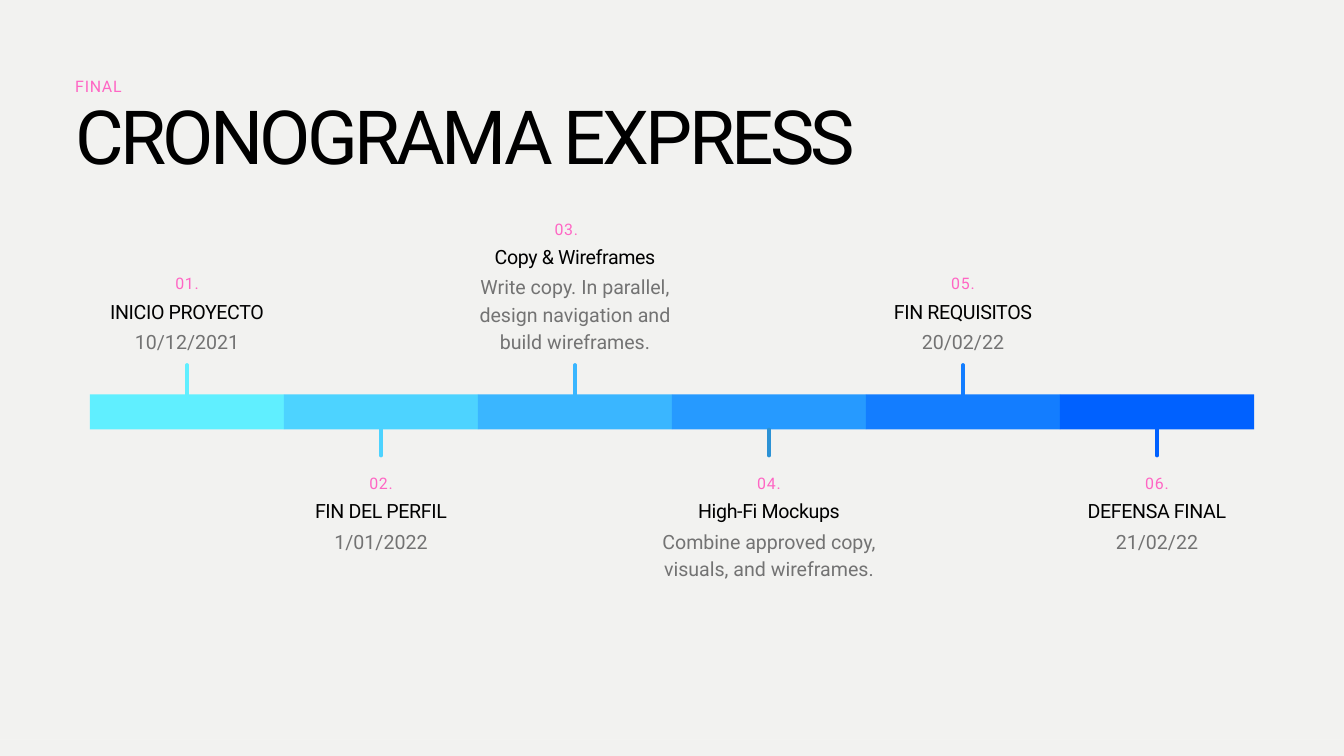
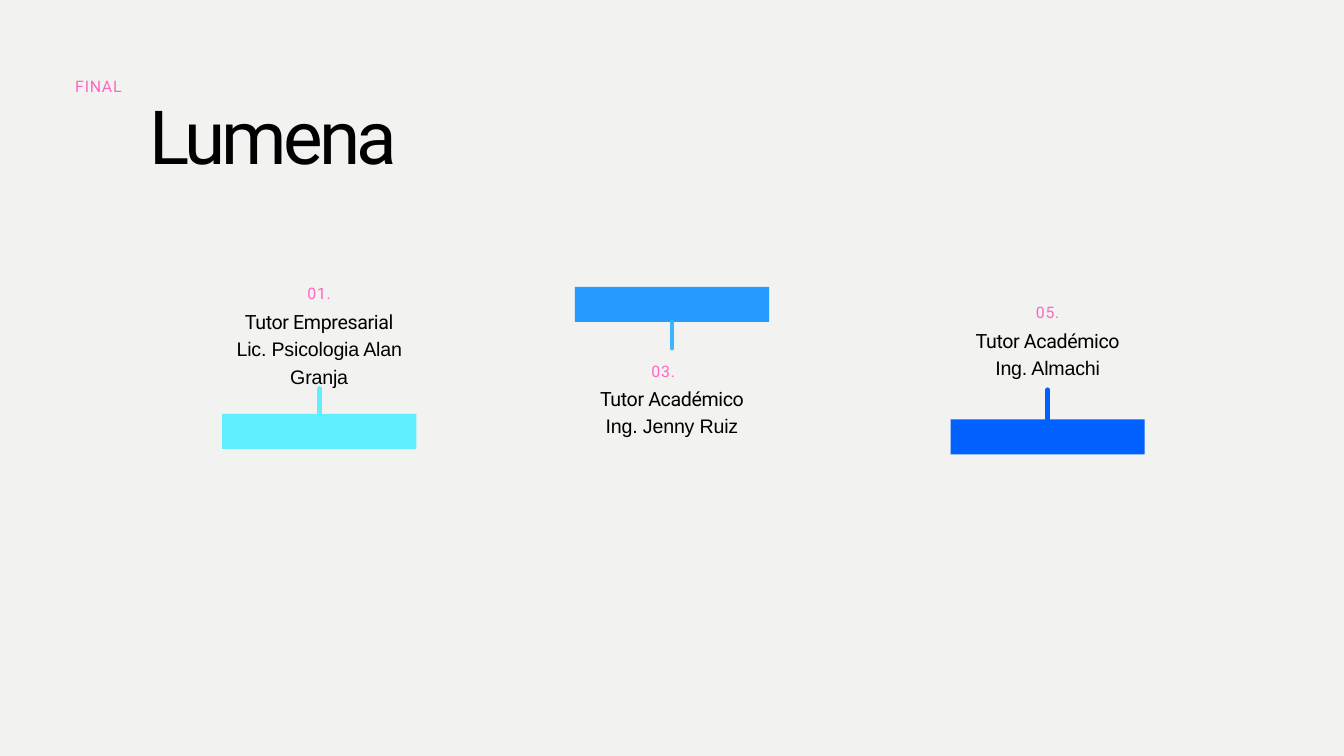
from dataclasses import dataclass

from lxml import etree
from pptx import Presentation
from pptx.dml.color import RGBColor
from pptx.enum.shapes import MSO_CONNECTOR, MSO_SHAPE
from pptx.enum.text import MSO_AUTO_SIZE, PP_ALIGN
from pptx.oxml.ns import qn
from pptx.shapes.autoshape import Shape
from pptx.slide import Slide
from pptx.util import Inches, Pt

RECTANGLE = MSO_SHAPE.RECTANGLE
STRAIGHT = MSO_CONNECTOR.STRAIGHT
FIT_SHAPE = MSO_AUTO_SIZE.SHAPE_TO_FIT_TEXT
LEFT, CENTER, JUSTIFY = PP_ALIGN.LEFT, PP_ALIGN.CENTER, PP_ALIGN.JUSTIFY
TOP_SITE, BOTTOM_SITE = 0, 2


@dataclass(frozen=True)
class TextStyle:
    size: float
    leading: float
    color: str
    spacing: float = 0
    font: str = "Roboto"
    align: PP_ALIGN = CENTER


@dataclass(frozen=True)
class Theme:
    paper: str = "F2F2F0"
    frame: str = "FDFDFD"
    blues: tuple[str, ...] = ("60EFFF", "4DD3FF", "3AB6FF", "269AFF", "137DFF", "0061FF")
    steel: str = "2C92D5"
    title: TextStyle = TextStyle(80, 88, "000000", -4, align=LEFT)
    kicker: TextStyle = TextStyle(17, 23.8, "FF66C4", 0.8, align=JUSTIFY)
    number: TextStyle = TextStyle(17, 23.8, "FF66C4", 0.8)
    heading: TextStyle = TextStyle(21, 29.4, "000000", -0.4)
    person: TextStyle = TextStyle(21, 29.4, "000000", -0.2, "Arial")
    detail: TextStyle = TextStyle(21, 29.4, "737373")


@dataclass(frozen=True)
class Milestone:
    number: str
    heading: str
    detail: str
    detail_height: float = 0.39
    number_shift: float = 0


@dataclass(frozen=True)
class Tutor:
    number: str
    role: str
    name: str
    center: float
    bar_top: float
    text_top: float
    text_height: float
    tip: float
    bar_color: str
    stem_color: str
    number_shift: float = 0


THEME = Theme()
PAGE_WIDTH, PAGE_HEIGHT = 20, 11.25
FRAME_WIDTH = 0.19
MARGIN, CONTENT_WIDTH = 1.12, 17.74
BAR_WIDTH, BAR_HEIGHT = 2.89, 0.52
LABEL_WIDTH, LABEL_HEIGHT = 3.3, 0.39
NUMBER_WIDTH, NUMBER_HEIGHT, NUMBER_RISE = 0.91, 0.31, 0.37
DETAIL_DROP = 0.45

TIMELINE_LEFT, TIMELINE_TOP, TIMELINE_WIDTH = 1.34, 5.87, 17.32
UPPER_TEXT_BOTTOM, LOWER_TEXT_TOP = 5.24, 7.37
UPPER_TIP, LOWER_TIP = 5.43, 6.78
TIMELINE_STEM, TUTOR_STEM = 3.75, 5

MILESTONES = (
    Milestone("01.", "INICIO PROYECTO", "10/12/2021"),
    Milestone("02.", "FIN DEL PERFIL", "1/01/2022"),
    Milestone("03.", "Copy & Wireframes",
              "Write copy. In parallel, design navigation and build wireframes.", 1.2, -0.13),
    Milestone("04.", "High-Fi Mockups", "Combine approved copy, visuals, and wireframes.", 1.2),
    Milestone("05.", "FIN REQUISITOS", "20/02/22"),
    Milestone("06.", "DEFENSA FINAL", "21/02/22"),
)
STEM_COLORS = (*THEME.blues[:3], THEME.steel, *THEME.blues[4:])

TUTORS = (
    Tutor("01.", "Tutor Empresarial", "Lic. Psicologia Alan Granja",
          4.75, 6.16, 4.55, 1.61, 5.78, THEME.blues[0], THEME.blues[0]),
    Tutor("03.", "Tutor Académico", "Ing. Jenny Ruiz",
          10, 4.27, 5.7, 1.2, 5.18, THEME.blues[3], THEME.blues[2], -0.13),
    Tutor("05.", "Tutor Académico", "Ing. Almachi",
          15.59, 6.24, 4.83, 1.2, 5.8, THEME.blues[5], THEME.blues[5]),
)


def rgb(color: str) -> RGBColor:
    return RGBColor.from_string(color)


def paint(shape: Shape, color: str) -> None:
    shape.shadow.inherit = False
    shape.fill.solid()
    shape.fill.fore_color.rgb = rgb(color)
    shape.line.fill.background()


def add_text(page: Slide, left: float, top: float, width: float, height: float,
             *lines: tuple[str, TextStyle], indent: float = 0) -> None:
    box = page.shapes.add_textbox(Inches(left), Inches(top), Inches(width), Inches(height))
    frame = box.text_frame
    frame.margin_left = frame.margin_top = frame.margin_right = frame.margin_bottom = 0
    frame.word_wrap = True
    frame.auto_size = FIT_SHAPE
    for index, (text, style) in enumerate(lines):
        para = frame.add_paragraph() if index else frame.paragraphs[0]
        para.text = text
        para.alignment = style.align
        para.line_spacing = Pt(style.leading)
        properties = para._p.get_or_add_pPr()
        if indent:
            properties.set("marL", str(Inches(indent)))
        para.font.name = style.font
        para.font.size = Pt(style.size)
        para.font.color.rgb = rgb(style.color)
        properties.find(qn("a:defRPr")).set("spc", str(round(style.spacing * 100)))


def add_centered(page: Slide, center: float, top: float, width: float, height: float,
                 *lines: tuple[str, TextStyle]) -> None:
    add_text(page, center - width / 2, top, width, height, *lines)


def add_number(page: Slide, center: float, heading_top: float, number: str) -> None:
    add_centered(page, center, heading_top - NUMBER_RISE, NUMBER_WIDTH, NUMBER_HEIGHT,
                 (number, THEME.number))


def add_bar(page: Slide, center: float, top: float, color: str) -> Shape:
    bar = page.shapes.add_shape(RECTANGLE, Inches(center - BAR_WIDTH / 2), Inches(top),
                                Inches(BAR_WIDTH), Inches(BAR_HEIGHT))
    paint(bar, color)
    return bar


def add_stem(page: Slide, bar: Shape, tip: float, color: str, weight: float) -> None:
    middle = bar.left + bar.width // 2
    above = Inches(tip) < bar.top
    edge = bar.top if above else bar.top + bar.height
    stem = page.shapes.add_connector(STRAIGHT, middle, Inches(tip), middle, edge)
    stem.end_connect(bar, TOP_SITE if above else BOTTOM_SITE)
    stem.line.color.rgb = rgb(color)
    stem.line.width = Pt(weight)
    properties = stem._element.spPr
    properties.find(qn("a:ln")).set("cap", "rnd")
    etree.SubElement(properties, qn("a:effectLst"))


def add_frame(page: Slide) -> None:
    right, bottom = PAGE_WIDTH - FRAME_WIDTH, PAGE_HEIGHT - FRAME_WIDTH
    outer = ((0, PAGE_HEIGHT), (PAGE_WIDTH, PAGE_HEIGHT), (PAGE_WIDTH, 0))
    inner = ((FRAME_WIDTH, bottom), (FRAME_WIDTH, FRAME_WIDTH), (right, FRAME_WIDTH))
    builder = page.shapes.build_freeform(0, 0, scale=Inches(1))
    builder.add_line_segments(outer, close=True)
    builder.move_to(right, bottom)
    builder.add_line_segments(inner, close=True)
    paint(builder.convert_to_shape(), THEME.frame)


def add_page(deck: Presentation, title: str, indent: float = 0) -> Slide:
    page = deck.slides.add_slide(deck.slide_layouts[6])
    page.background.fill.solid()
    page.background.fill.fore_color.rgb = rgb(THEME.paper)
    add_frame(page)
    add_text(page, MARGIN, 1.45, CONTENT_WIDTH, 1.28, (title, THEME.title), indent=indent)
    add_text(page, MARGIN, 1.1, CONTENT_WIDTH, 0.3, ("FINAL", THEME.kicker))
    return page


def build_timeline(deck: Presentation) -> None:
    page = add_page(deck, "CRONOGRAMA EXPRESS")
    step = TIMELINE_WIDTH / len(MILESTONES)
    for index, milestone in enumerate(MILESTONES):
        center = TIMELINE_LEFT + (index + 0.5) * step
        above = index % 2 == 0
        top = UPPER_TEXT_BOTTOM - milestone.detail_height - DETAIL_DROP if above else LOWER_TEXT_TOP
        bar = add_bar(page, center, TIMELINE_TOP, THEME.blues[index])
        add_centered(page, center, top, LABEL_WIDTH, LABEL_HEIGHT,
                     (milestone.heading, THEME.heading))
        add_centered(page, center, top + DETAIL_DROP, LABEL_WIDTH, milestone.detail_height,
                     (milestone.detail, THEME.detail))
        add_number(page, center + milestone.number_shift, top, milestone.number)
        add_stem(page, bar, UPPER_TIP if above else LOWER_TIP, STEM_COLORS[index], TIMELINE_STEM)


def build_tutors(deck: Presentation) -> None:
    page = add_page(deck, "Lumena", indent=1.1)
    for tutor in TUTORS:
        bar = add_bar(page, tutor.center, tutor.bar_top, tutor.bar_color)
        add_centered(page, tutor.center, tutor.text_top, LABEL_WIDTH, tutor.text_height,
                     (tutor.role, THEME.heading), (tutor.name, THEME.person))
        add_number(page, tutor.center + tutor.number_shift, tutor.text_top, tutor.number)
        add_stem(page, bar, tutor.tip, tutor.stem_color, TUTOR_STEM)


def main() -> None:
    deck = Presentation()
    deck.slide_width, deck.slide_height = Inches(PAGE_WIDTH), Inches(PAGE_HEIGHT)
    build_timeline(deck)
    build_tutors(deck)
    deck.save("out.pptx")


if __name__ == "__main__":
    main()
